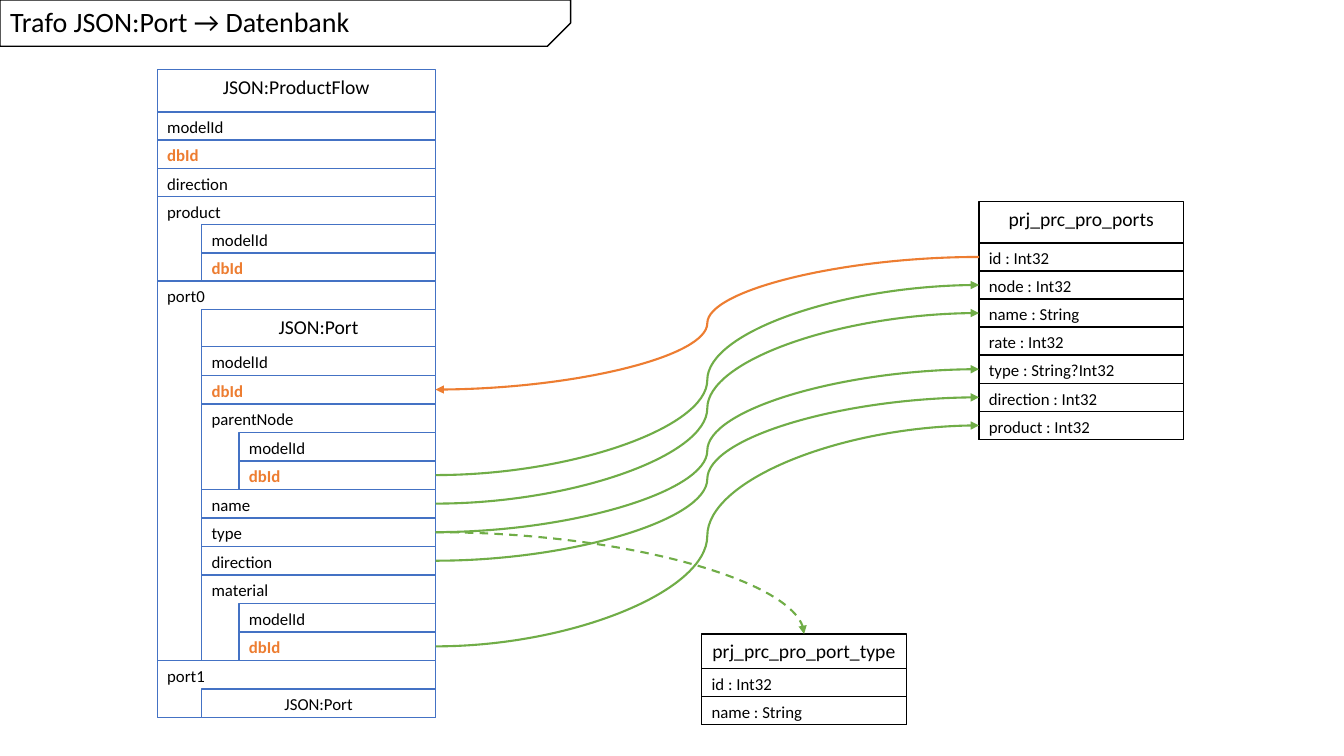
import pptx
import pptx.util
import pptx.dml.color
import pptx.enum.dml
import pptx.enum.shapes
import pptx.enum.text
import pptx.oxml
import pptx.oxml.ns
from pptx.util import Inches, Pt

COLORS = {"white": "FFFFFF", "black": "000000", "json": "4472C4",
          "key": "ED7D31", "flow": "70AD47"}
rgb = {name: pptx.dml.color.RGBColor.from_string(code) for name, code in COLORS.items()}
ALIGN = pptx.enum.text.PP_ALIGN
ANCHOR = pptx.enum.text.MSO_ANCHOR
SHAPE = pptx.enum.shapes.MSO_SHAPE


def add_box(parent, left, top, width, height, label, border, size=12, centered=False):
    box = parent.shapes.add_shape(SHAPE.RECTANGLE, Inches(left), Inches(top),
                                  Inches(width), Inches(height))
    box.shadow.inherit = False
    box.fill.solid()
    box.fill.fore_color.rgb = rgb["white"]
    box.line.color.rgb = rgb[border]
    box.line.width = Pt(1)
    frame = box.text_frame
    frame.word_wrap = True
    frame.vertical_anchor = ANCHOR.TOP
    frame.text = label
    paragraph = frame.paragraphs[0]
    paragraph.alignment = ALIGN.CENTER if centered else ALIGN.LEFT
    font = paragraph.runs[0].font
    font.name = "Calibri"
    font.size = Pt(size)
    font.bold = label == "dbId"
    font.color.rgb = rgb["key" if label == "dbId" else "black"]
    return box


def add_flow(start, end, color):
    flow = slide.shapes.add_connector(pptx.enum.shapes.MSO_CONNECTOR.CURVE, *start, *end)
    flow.line.color.rgb = rgb[color]
    flow.line.width = Pt(1.5)
    tail = pptx.oxml.parse_xml(
        f'<a:tailEnd {pptx.oxml.ns.nsdecls("a")} type="triangle"/>')
    flow.line._get_or_add_ln().append(tail)
    flow._element.spPr.append(
        pptx.oxml.parse_xml(f'<a:effectLst {pptx.oxml.ns.nsdecls("a")}/>'))
    return flow


presentation = pptx.Presentation()
presentation.slide_width = Inches(13.33)
presentation.slide_height = Inches(7.5)
slide = presentation.slides.add_slide(presentation.slide_layouts[5])

# Title on its snipped banner
banner = slide.shapes.add_shape(SHAPE.SNIP_1_RECTANGLE, 0, 0, Inches(5.66), Inches(0.46))
banner.adjustments[0] = 0.5
banner.shadow.inherit = False
banner.fill.solid()
banner.fill.fore_color.rgb = rgb["white"]
banner.line.color.rgb = rgb["black"]
banner.line.width = Pt(1)
banner._element.spPr.xfrm.set("flipV", "1")

title = slide.shapes.title
title.left, title.top, title.width, title.height = 0, 0, Inches(5.66), Inches(0.46)
title.text_frame.text = "Trafo JSON:Port → Datenbank"
title.text_frame.vertical_anchor = ANCHOR.MIDDLE
title.text_frame.auto_size = pptx.enum.text.MSO_AUTO_SIZE.NONE
heading = title.text_frame.paragraphs[0]
heading.alignment = ALIGN.LEFT
heading.line_spacing = 0.9
heading.runs[0].font.name = "Calibri"
heading.runs[0].font.size = Pt(20)
heading.runs[0].font.color.rgb = rgb["black"]
slide.shapes._spTree.append(title._element)  # bring in front of the banner

# Database tables: name, left, top, height, top of first row, columns
tables = [
    ("prj_prc_pro_port_types", 6.96, 6.29, 0.9, 6.63, ["id : Int32", "name : String"]),
    ("prj_prc_pro_ports", 9.71, 2, 2.36, 2.41,
     ["id : Int32", "node : Int32", "name : String", "rate : Int32",
      "type : String?Int32", "direction : Int32", "product : Int32"]),
]
table_boxes, column_boxes = {}, {}
for name, left, top, height, first_row, columns in tables:
    group = slide.shapes.add_group_shape()
    table_boxes[name] = add_box(group, left, top, 2.03, height, name, "black", 14, True)
    row_height = (top + height - first_row) / len(columns)
    for index, column in enumerate(columns):
        column_boxes[name, column.split()[0]] = add_box(
            group, left, first_row + index * row_height, 2.03, row_height, column, "black")

# JSON structure: nesting level, field, number of rows spanned
fields = [
    (0, "modelId", 1), (0, "dbId", 1), (0, "direction", 1),
    (0, "product", 3), (1, "modelId", 1), (1, "dbId", 1),
    (0, "port0", 15), (1, "JSON:Port", 12), (1, "modelId", 1), (1, "dbId", 1),
    (1, "parentNode", 3), (2, "modelId", 1), (2, "dbId", 1),
    (1, "name", 1), (1, "type", 1), (1, "direction", 1),
    (1, "material", 3), (2, "modelId", 1), (2, "dbId", 1),
    (0, "port1", 2), (1, "JSON:Port", 1),
]
level_lefts = [1.56, 2, 2.37]
json_right = 4.32
port_row = (7.12 - 3.44) / 13
row_tops = [1.11 + 0.28 * i for i in range(8)] + [3.44 + port_row * i for i in range(14)]

json_group = slide.shapes.add_group_shape()
add_box(json_group, 1.56, 0.69, 2.76, 6.15, "JSON:ProductFlow", "json", 14, True)
field_boxes = []
for index, (level, field, span) in enumerate(fields):
    left, top = level_lefts[level], row_tops[index]
    is_port = field == "JSON:Port"
    field_boxes.append(add_box(
        json_group, left, top, json_right - left, row_tops[index + span] - top,
        field, "json", 14 if is_port and span > 1 else 12, is_port))

# Flows between JSON fields (by row) and columns of the ports table
PORT_ID, PARENT_ID, NAME, TYPE, DIRECTION, MATERIAL_ID = 9, 12, 13, 14, 15, 18
mapping = [(PARENT_ID, "node"), (MATERIAL_ID, "product"), (NAME, "name"),
           (TYPE, "type"), (DIRECTION, "direction"), (PORT_ID, "id")]
for row, column in mapping:
    field_box = field_boxes[row]
    column_box = column_boxes["prj_prc_pro_ports", column]
    field_end = (Inches(json_right), field_box.top + field_box.height // 2)
    column_end = (column_box.left, column_box.top + column_box.height // 2)
    if column == "id":
        add_flow(column_end, field_end, "key")
    else:
        add_flow(field_end, column_end, "flow")

# Dashed lookup from the port type to its table
type_box = field_boxes[TYPE]
types_table = table_boxes["prj_prc_pro_port_types"]
lookup = add_flow((Inches(json_right), type_box.top + type_box.height // 2),
                  (types_table.left + types_table.width // 2, types_table.top), "flow")
lookup.line.dash_style = pptx.enum.dml.MSO_LINE.DASH
lookup._element.spPr.prstGeom.set("prst", "curvedConnector2")

presentation.save("out.pptx")
